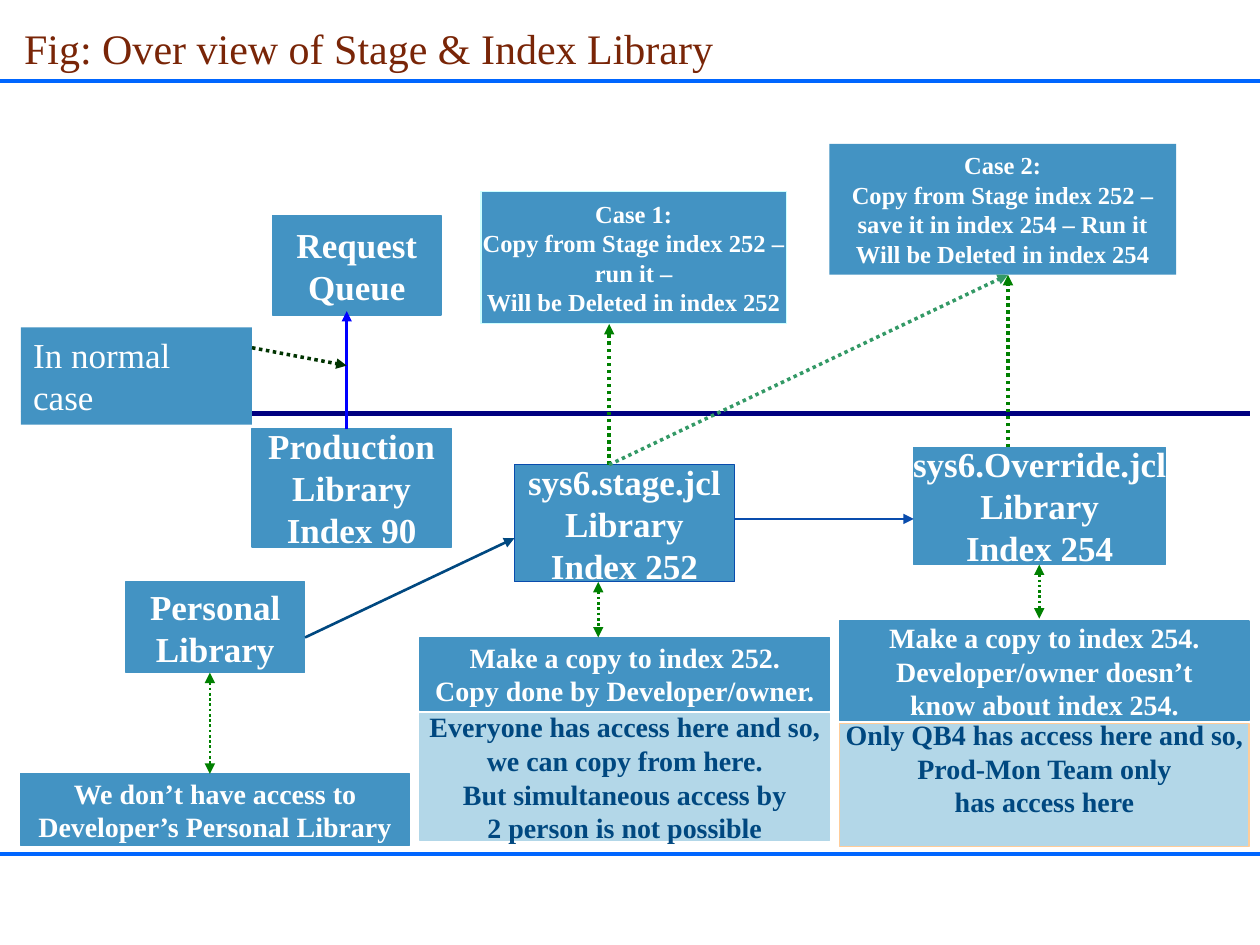
import pptx
import pptx.util
import pptx.dml.color
import pptx.enum.dml
import pptx.enum.shapes
import pptx.enum.text
import pptx.oxml.ns
import lxml.etree

Cm = pptx.util.Cm
Align = pptx.enum.text.PP_ALIGN
Anchor = pptx.enum.text.MSO_ANCHOR
colour = pptx.dml.color.RGBColor.from_string
qn = pptx.oxml.ns.qn

WHITE, NAVY, BLUE, PALE = "FFFFFF", "004880", "4393C3", "B3D7E8"
RULE, GREEN, ROYAL = "0066FF", "008000", "094CAD"


def write(frame, text, size=20, color=WHITE, bold=True, align=Align.CENTER,
          anchor=Anchor.MIDDLE, wrap=False):
    frame.auto_size = pptx.enum.text.MSO_AUTO_SIZE.NONE
    frame.word_wrap = wrap
    frame.vertical_anchor = anchor
    frame.text = text
    for para in frame.paragraphs:
        para.alignment = align
        for span in para.runs:
            span.font.name = "Times New Roman"
            span.font.size = pptx.util.Pt(size)
            span.font.bold = bold
            span.font.color.rgb = colour(color)


def connect(start, end, color, width, dotted=False, arrows=()):
    connector = page.shapes.add_connector(
        pptx.enum.shapes.MSO_CONNECTOR.STRAIGHT,
        *(Cm(value) for value in start + end))
    connector.line.color.rgb = colour(color)
    connector.line.width = pptx.util.Pt(width)
    if dotted:
        connector.line.dash_style = pptx.enum.dml.MSO_LINE.ROUND_DOT
    properties = connector._element.spPr
    for name in arrows:
        lxml.etree.SubElement(properties.find(qn("a:ln")), qn(name), type="triangle")
    lxml.etree.SubElement(properties, qn("a:effectLst"))


deck = pptx.Presentation()
deck.slide_width, deck.slide_height = Cm(25.4), Cm(19.05)
page = deck.slides.add_slide(deck.slide_layouts[5])

title = page.shapes.title
title.left, title.top, title.width, title.height = Cm(0.23), Cm(0.33), Cm(14.6), Cm(1.27)
write(title.text_frame, "Fig: Over view of Stage & Index Library", size=24,
      color="792507", bold=False, align=Align.LEFT, anchor=Anchor.TOP, wrap=True)

for height in (1.63, 17.22):
    connect((0, height), (25.4, height), RULE, 2.25)
connect((0.42, 8.33), (25.2, 8.33), "000080", 3)

heading = dict(size=20)
case = dict(size=14)
note = dict(size=16)
access = dict(size=16, color=NAVY)
plain = dict(bold=False, align=Align.LEFT, anchor=Anchor.TOP, wrap=True)

boxes = [
    ("In normal case", 0.42, 6.6, 4.66, 1.96, BLUE, None, plain),
    ("Request\nQueue", 5.5, 4.34, 3.39, 2.01, BLUE, BLUE, heading),
    ("Production\nLibrary\nIndex 90", 5.08, 8.64, 4.02, 2.39, BLUE, BLUE, heading),
    ("Personal\nLibrary", 2.54, 11.73, 3.6, 1.83, BLUE, BLUE, heading),
    ("sys6.stage.jcl\nLibrary\nIndex 252", 10.37, 9.37, 4.44, 2.36, BLUE, ROYAL, heading),
    ("sys6.Override.jcl\nLibrary\nIndex 254", 18.42, 9.02, 5.08, 2.36, BLUE, BLUE, heading),
    ("Case 1:\nCopy from Stage index 252 –\nrun it –\nWill be Deleted in index 252",
     9.7, 3.86, 6.15, 2.67, BLUE, "CCFFFF", case),
    ("Case 2:\nCopy from Stage index 252 –\nsave it in index 254 – Run it\n"
     "Will be Deleted in index 254", 16.72, 2.9, 6.99, 2.64, BLUE, None, case),
    ("We don’t have access to\nDeveloper’s Personal Library",
     0.42, 15.6, 7.83, 1.45, BLUE, BLUE, note),
    ("Make a copy to index 252.\nCopy done by Developer/owner.",
     8.47, 12.85, 8.25, 1.47, BLUE, BLUE, note),
    ("Make a copy to index 254.\nDeveloper/owner doesn’t\nknow about index 254.",
     16.93, 12.52, 8.25, 2.01, BLUE, BLUE, note),
    ("Everyone has access here and so,\nwe can copy from here.\n"
     "But simultaneous access by\n2 person is not possible",
     8.47, 14.38, 8.25, 2.57, PALE, PALE, access),
    ("Only QB4 has access here and so,\nProd-Mon Team only\nhas access here",
     16.93, 14.58, 8.25, 2.49, PALE, "FFCC99", access),
]
for text, left, top, width, height, fill, border, style in boxes:
    box = page.shapes.add_shape(pptx.enum.shapes.MSO_SHAPE.RECTANGLE,
                                Cm(left), Cm(top), Cm(width), Cm(height))
    box.shadow.inherit = False
    box.fill.solid()
    box.fill.fore_color.rgb = colour(fill)
    if border:
        box.line.color.rgb = colour(border)
        box.line.width = pptx.util.Pt(0.75)
    else:
        box.line.fill.background()
    write(box.text_frame, text, **style)
box.text_frame.margin_bottom = Cm(0.8)

forward = ("a:tailEnd",)
both = ("a:headEnd", "a:tailEnd")
arrows = [
    ((6.99, 8.64), (6.99, 6.27), "0000FF", 1.75, False, forward),
    ((5.08, 7.01), (6.99, 7.37), "003300", 2, True, forward),
    ((6.15, 12.85), (10.37, 10.85), NAVY, 1.5, False, forward),
    ((14.81, 10.46), (18.42, 10.46), ROYAL, 1.5, False, forward),
    ((12.28, 9.37), (12.28, 6.53), GREEN, 2, True, forward),
    ((12.28, 9.37), (20.32, 5.54), "339966", 2, True, forward),
    ((20.32, 9.02), (20.32, 5.54), GREEN, 2, True, forward),
    ((4.23, 13.56), (4.23, 15.6), GREEN, 1.5, True, both),
    ((12.06, 11.73), (12.06, 12.85), GREEN, 1.5, True, both),
    ((20.95, 11.38), (20.95, 12.47), GREEN, 1.5, True, both),
]
for arrow in arrows:
    connect(*arrow)

deck.save("out.pptx")
